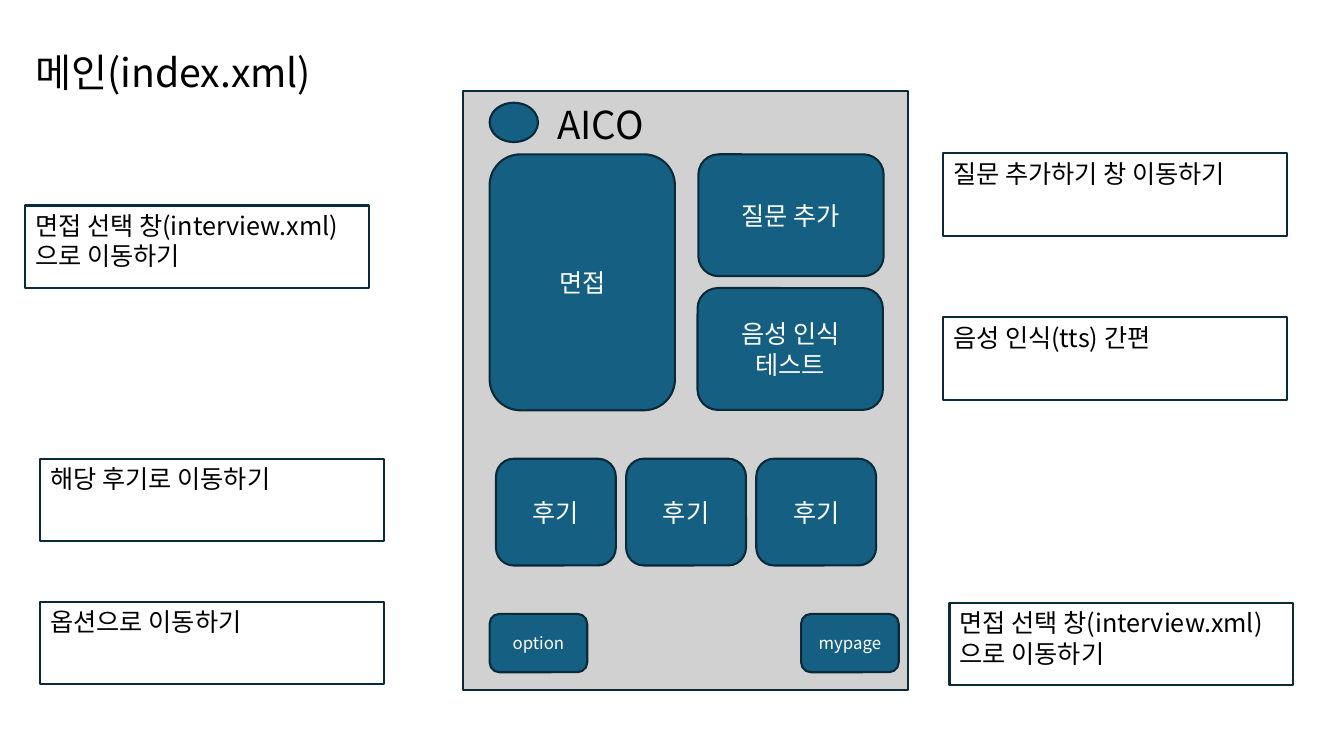
from lxml import etree
from pptx import Presentation
from pptx.dml.color import RGBColor
from pptx.enum.shapes import MSO_SHAPE
from pptx.enum.text import MSO_ANCHOR, MSO_AUTO_SIZE, PP_ALIGN
from pptx.oxml.ns import qn
from pptx.util import Cm, Pt

RECT, ROUND, OVAL = MSO_SHAPE.RECTANGLE, MSO_SHAPE.ROUNDED_RECTANGLE, MSO_SHAPE.OVAL
TOP, MIDDLE = MSO_ANCHOR.TOP, MSO_ANCHOR.MIDDLE
LEFT, CENTER = PP_ALIGN.LEFT, PP_ALIGN.CENTER
FONT = "Noto Sans CJK KR"
COLORS = {"screen": "D1D1D1", "button": "156082", "line": "092A39",
          "white": "FFFFFF", "black": "000000"}


def write(shape, text, size, color, align, anchor, spacing=None):
    frame = shape.text_frame
    frame.text = text
    frame.word_wrap = True
    frame.auto_size = MSO_AUTO_SIZE.NONE
    frame.vertical_anchor = anchor
    for para in frame.paragraphs:
        para.alignment = align
        para.line_spacing = spacing
        for span in para.runs:
            span.font.size = Pt(size)
            span.font.name = FONT
            span.font.color.rgb = RGBColor.from_string(COLORS[color])
            east_asian = etree.Element(qn("a:ea"), typeface=FONT)
            span.font._element.find(qn("a:latin")).addnext(east_asian)


def add_box(kind, left, top, width, height, fill):
    box = page.shapes.add_shape(kind, Cm(left), Cm(top), Cm(width), Cm(height))
    box.shadow.inherit = False
    box.fill.solid()
    box.fill.fore_color.rgb = RGBColor.from_string(COLORS[fill])
    box.line.color.rgb = RGBColor.from_string(COLORS["line"])
    box.line.width = Pt(1.5)
    return box


deck = Presentation()
deck.slide_width, deck.slide_height = Cm(33.87), Cm(19.05)
page = deck.slides.add_slide(deck.slide_layouts[5])

title = page.shapes.title
title.left, title.top, title.width, title.height = Cm(0.64), Cm(1.17), Cm(8.89), Cm(1.42)
write(title, "메인(index.xml)", 28, "black", LEFT, MIDDLE, 0.9)

# Phone screen with its header
add_box(RECT, 11.68, 2.29, 11.2, 15.11, "screen")
add_box(OVAL, 12.34, 2.59, 1.22, 0.99, "button")
app_name = page.shapes.add_textbox(Cm(13.79), Cm(2.69), Cm(5.26), Cm(1.14))
write(app_name, "AICO", 27.5, "black", LEFT, MIDDLE, 0.7)

# Buttons on the screen
buttons = [
    ("면접", 12.34, 3.89, 4.67, 6.45, 18),
    ("질문 추가", 17.6, 3.89, 4.67, 3.07, 18),
    ("음성 인식\n테스트", 17.58, 7.26, 4.67, 3.07, 18),
    ("option", 12.34, 15.47, 2.46, 1.47, 12),
    ("mypage", 20.19, 15.47, 2.46, 1.47, 12),
]
for column in range(3):
    buttons.append(("후기", 12.5 + 3.28 * column, 11.56, 3.02, 2.69, 18))
for label, left, top, width, height, size in buttons:
    button = add_box(ROUND, left, top, width, height, "button")
    write(button, label, size, "white", CENTER, MIDDLE)

# Notes beside the screen
notes = [
    ("면접 선택 창(interview.xml)으로 이동하기", 0.64, 5.18),
    ("해당 후기로 이동하기", 1.02, 11.56),
    ("옵션으로 이동하기", 1.02, 15.16),
    ("질문 추가하기 창 이동하기", 23.77, 3.86),
    ("음성 인식(tts) 간편", 23.77, 8.0),
    ("면접 선택 창(interview.xml)으로 이동하기", 23.93, 15.19),
]
for text, left, top in notes:
    note = add_box(RECT, left, top, 8.66, 2.08, "white")
    write(note, text, 18, "black", LEFT, TOP)

deck.save("out.pptx")
